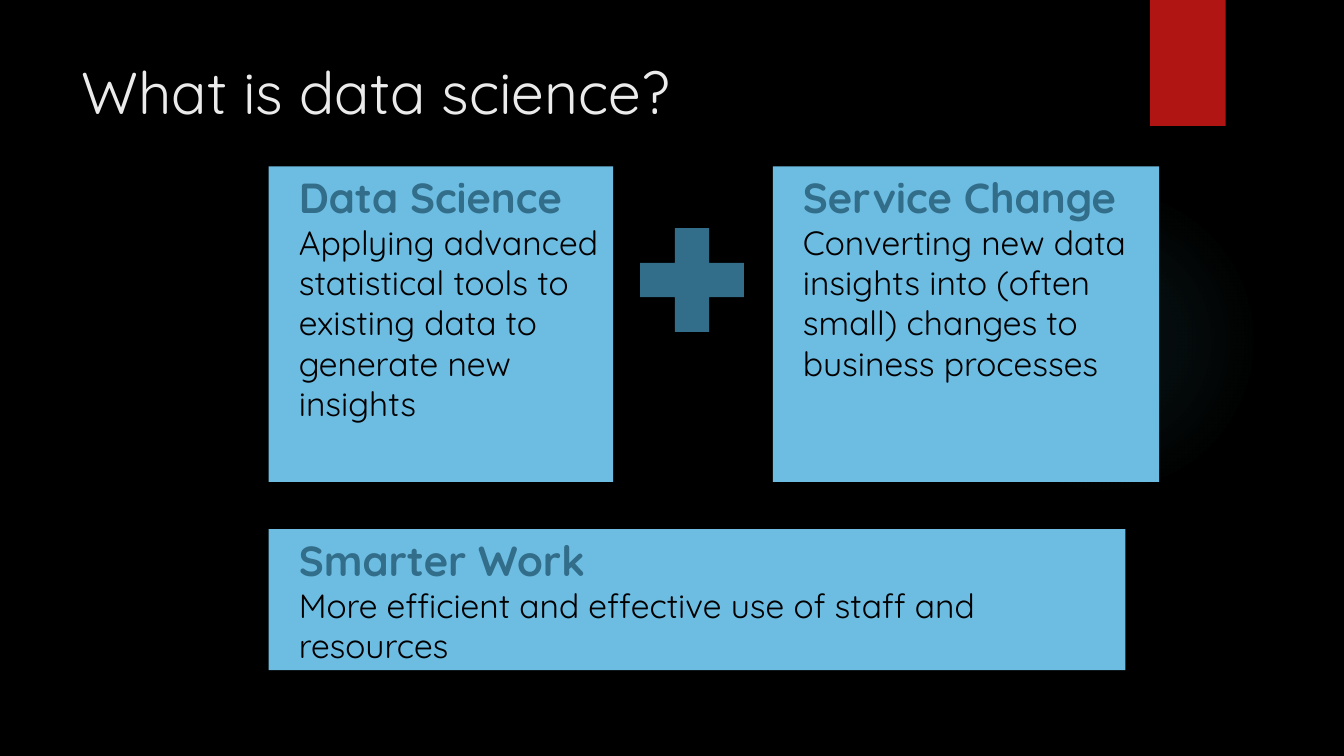
import dataclasses

import lxml.etree
import pptx
import pptx.dml.color
import pptx.enum.shapes
import pptx.enum.text
import pptx.oxml
import pptx.oxml.ns
import pptx.util

Pt = pptx.util.Pt
Shapes = pptx.enum.shapes.MSO_SHAPE


@dataclasses.dataclass(frozen=True)
class Theme:
    font: str = "Quicksand"
    background: str = "000000"
    title: str = "EBEBEB"
    panel: str = "6DBCE2"
    accent: str = "326D89"
    body: str = "000000"
    ribbon: str = "B01513"
    glow: str = "50B9C1"
    title_size: float = 42
    heading_size: float = 30
    body_size: float = 24
    indent: float = 14.4


@dataclasses.dataclass(frozen=True)
class Area:
    left: float
    top: float
    width: float
    height: float


@dataclasses.dataclass(frozen=True)
class Panel:
    area: Area
    heading: str
    body: str


THEME = Theme()
GLOW_STOPS = ((0, 7), (36, 6), (69, 0))  # position and opacity in percent

PANEL_LEFT, PANEL_TOP, PANEL_HEIGHT = 192, 118.8, 225.4
PANELS = (
    Panel(Area(PANEL_LEFT, PANEL_TOP, 246, PANEL_HEIGHT), "Data Science",
          "Applying advanced statistical tools to existing data to generate new insights"),
    Panel(Area(552, PANEL_TOP, 276, PANEL_HEIGHT), "Service Change",
          "Converting new data insights into (often small) changes to business processes"),
    Panel(Area(PANEL_LEFT, 378, 612, 100.8), "Smarter Work",
          "More efficient and effective use of staff and resources"),
)


def rgb(color: str) -> pptx.dml.color.RGBColor:
    return pptx.dml.color.RGBColor.from_string(color)


def style(para, size: float, color: str, bold: bool = False) -> None:
    para.alignment = pptx.enum.text.PP_ALIGN.LEFT
    para.font.name = THEME.font
    para.font.size = Pt(size)
    para.font.bold = bold
    para.font.color.rgb = rgb(color)


def add_filled(page, kind: Shapes, area: Area, color: str):
    shape = page.shapes.add_shape(
        kind, Pt(area.left), Pt(area.top), Pt(area.width), Pt(area.height))
    shape.shadow.inherit = False
    shape.fill.solid()
    shape.fill.fore_color.rgb = rgb(color)
    shape.line.fill.background()
    return shape


def add_glow(page, area: Area) -> None:
    shape = add_filled(page, Shapes.OVAL, area, THEME.glow)
    stops = "".join(
        f'<a:gs pos="{position * 1000}"><a:srgbClr val="{THEME.glow}">'
        f'<a:alpha val="{opacity * 1000}"/></a:srgbClr></a:gs>'
        for position, opacity in GLOW_STOPS)
    gradient = pptx.oxml.parse_xml(
        f'<a:gradFill {pptx.oxml.ns.nsdecls("a")}><a:gsLst>{stops}</a:gsLst>'
        '<a:path path="circle"><a:fillToRect l="50000" t="50000" r="50000" b="50000"/>'
        '</a:path></a:gradFill>')
    properties = shape._element.spPr
    properties.replace(properties.find(pptx.oxml.ns.qn("a:solidFill")), gradient)


def set_title(page, area: Area, text: str) -> None:
    title = page.shapes.title
    title.left, title.top = Pt(area.left), Pt(area.top)
    title.width, title.height = Pt(area.width), Pt(area.height)
    frame = title.text_frame
    frame.text = text
    frame.word_wrap = True
    frame.auto_size = pptx.enum.text.MSO_AUTO_SIZE.NONE
    frame.vertical_anchor = pptx.enum.text.MSO_ANCHOR.TOP
    style(frame.paragraphs[0], THEME.title_size, THEME.title)


def add_panel(page, panel: Panel) -> None:
    box = add_filled(page, Shapes.RECTANGLE, panel.area, THEME.panel)
    frame = box.text_frame
    frame.word_wrap = True
    frame.vertical_anchor = pptx.enum.text.MSO_ANCHOR.TOP
    heading, body = frame.paragraphs[0], frame.add_paragraph()
    heading.text, body.text = panel.heading, panel.body
    for para in (heading, body):
        para._p.get_or_add_pPr().set("marL", str(Pt(THEME.indent)))
    style(heading, THEME.heading_size, THEME.accent, bold=True)
    style(body, THEME.body_size, THEME.body)


def main() -> None:
    deck = pptx.Presentation()
    deck.slide_width, deck.slide_height = Pt(960), Pt(540)
    page = deck.slides.add_slide(deck.slide_layouts.get_by_name("Title Only"))
    page.background.fill.solid()
    page.background.fill.fore_color.rgb = rgb(THEME.background)

    # Backdrop
    add_glow(page, Area(677.5, 131.8, 221.8, 221.8))
    add_filled(page, Shapes.RECTANGLE, Area(821.5, 0, 54, 90), THEME.ribbon)

    # Title
    set_title(page, Area(51, 36, 741, 110), "What is data science?")

    # Panels and the plus sign between them
    for panel in PANELS:
        add_panel(page, panel)
    plus = add_filled(page, Shapes.CROSS, Area(457.2, 162.9, 74.2, 74.2), THEME.accent)
    plus.adjustments[0] = 0.336

    deck.save("out.pptx")


if __name__ == "__main__":
    main()
